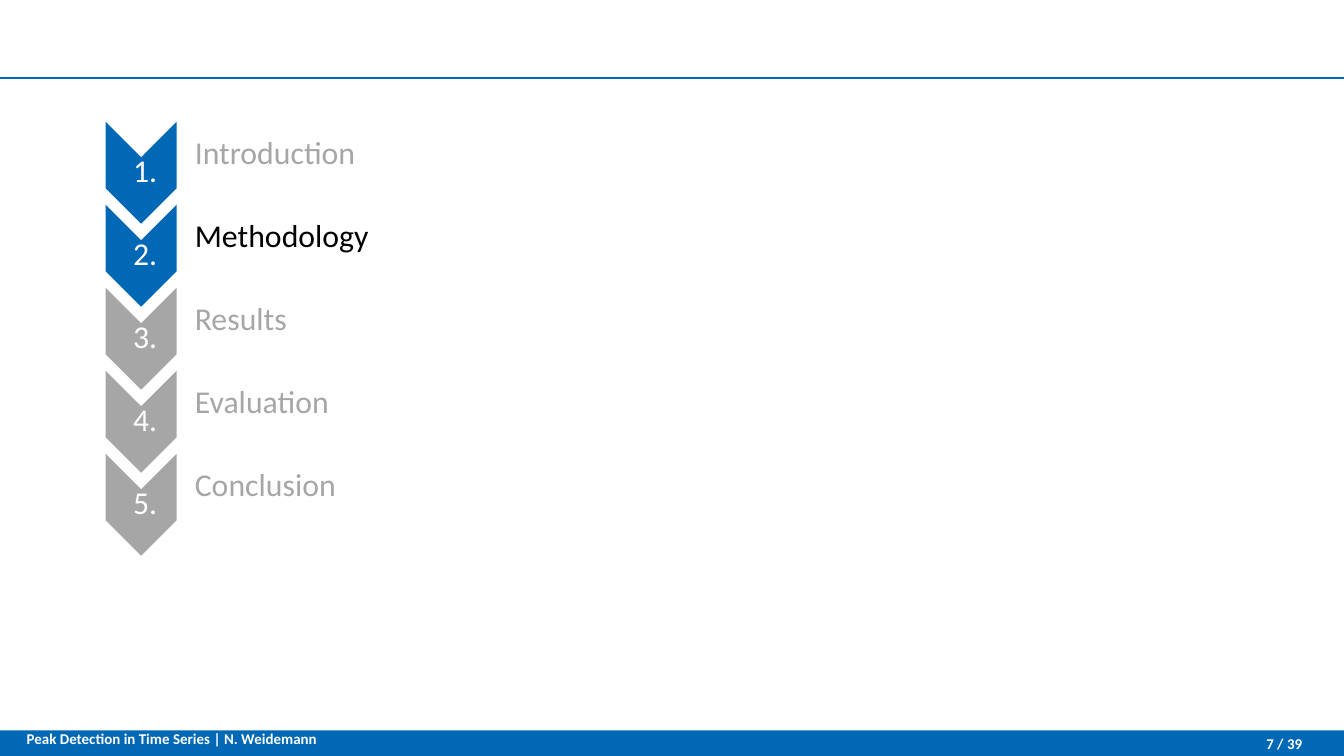
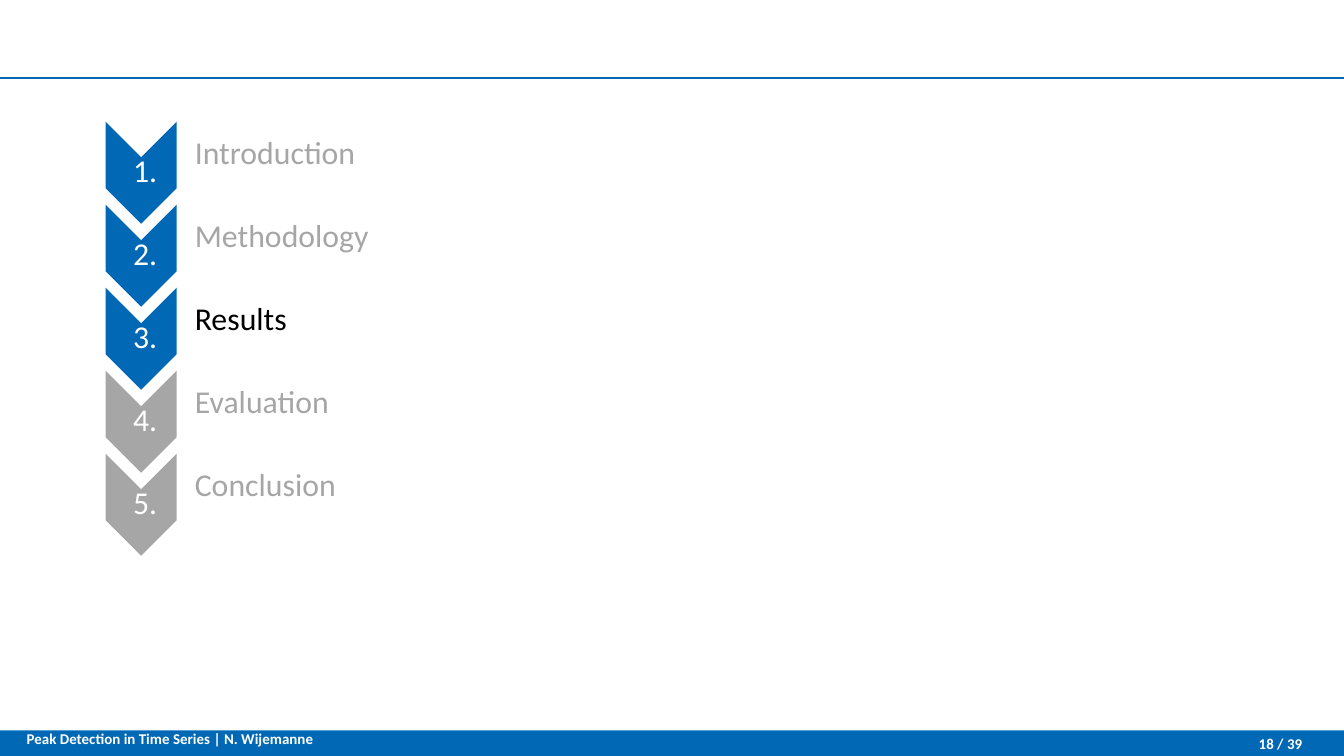
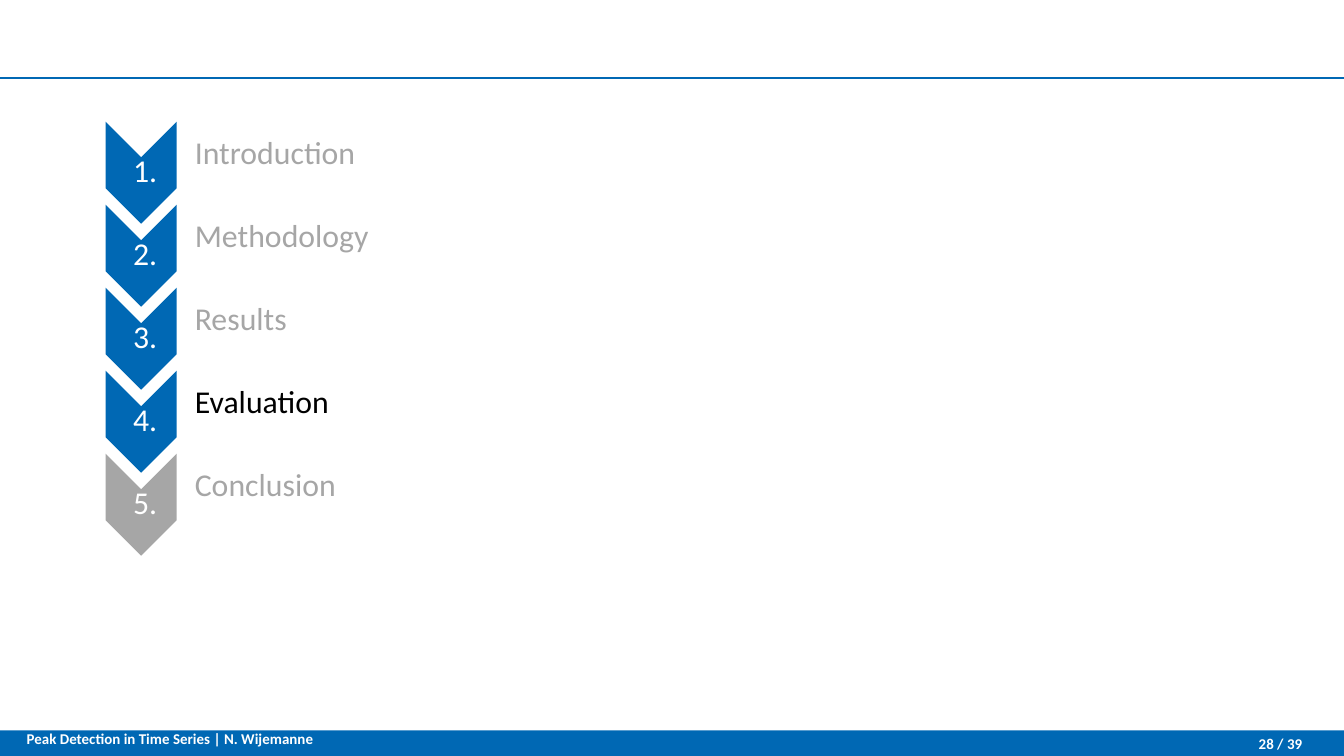
"""Build three agenda slides that mark progress through a talk on peak detection."""
from lxml.etree import SubElement
from pptx import Presentation
from pptx.dml.color import RGBColor
from pptx.enum.shapes import MSO_CONNECTOR, MSO_SHAPE
from pptx.enum.text import MSO_ANCHOR, PP_ALIGN
from pptx.oxml.ns import qn
from pptx.util import Inches, Pt

TALK = "Peak Detection in Time Series"
PAGES = 39
SECTIONS = ["Introduction", "Methodology", "Results", "Evaluation", "Conclusion"]
AGENDAS = [
    {"current": "Methodology", "page": 7, "speaker": "N. Weidemann"},
    {"current": "Results", "page": 18, "speaker": "N. Wijemanne"},
    {"current": "Evaluation", "page": 28, "speaker": "N. Wijemanne"},
]

COLORS = {"blue": "0068B4", "gray": "A6A6A6", "black": "000000", "white": "FFFFFF"}
FONT = "Calibri"
SLIDE_W = 10
SLIDE_H = SLIDE_W * 9 / 16
BAND_H = 0.19
BAND_TOP = SLIDE_H - BAND_H
RULE_Y = 0.58
STEP_TOP = 0.93
STEP_PITCH = 2.47 / (len(SECTIONS) - 1)


def rgb(name):
    return RGBColor.from_string(COLORS[name])


def add_filled(s, preset, box, color):
    sp = s.shapes.add_shape(preset, *map(Inches, box))
    sp.shadow.inherit = False
    sp.fill.solid()
    sp.fill.fore_color.rgb = rgb(color)
    sp.line.fill.background()
    return sp


def add_text(s, text, box, insets, size, color, bold=False, align=PP_ALIGN.LEFT,
             anchor=MSO_ANCHOR.MIDDLE, spacing=None):
    tf = s.shapes.add_textbox(*map(Inches, box)).text_frame
    tf.word_wrap = True
    tf.vertical_anchor = anchor
    tf.margin_left, tf.margin_top, tf.margin_right, tf.margin_bottom = map(Inches, insets)
    p = tf.paragraphs[0]
    p.text = text
    p.alignment = align
    p.line_spacing = spacing
    p.font.name = FONT
    p.font.size = Pt(size)
    p.font.bold = bold
    p.font.color.rgb = rgb(color)


def add_frame(s, page, speaker):
    add_filled(s, MSO_SHAPE.RECTANGLE, (0, BAND_TOP, SLIDE_W, BAND_H), "blue")
    rule = s.shapes.add_connector(MSO_CONNECTOR.STRAIGHT, Inches(SLIDE_W), Inches(RULE_Y),
                                  0, Inches(RULE_Y))
    rule.line.color.rgb = rgb("blue")
    rule.line.width = Pt(1.5)
    SubElement(rule._element.spPr, qn("a:effectLst"))
    add_text(s, f"{TALK} | {speaker}", (0.1, 5.36, 4.34, 0.34), (0.1, 0.1, 0.1, 0.1),
             8, "white", bold=True, anchor=MSO_ANCHOR.TOP)
    add_text(s, f"{page} / {PAGES}", (8.75, BAND_TOP, 0.94, BAND_H), (0.1, 0.05, 0, 0.05),
             8, "white", bold=True, align=PP_ALIGN.RIGHT)


def add_agenda(s, current):
    current_index = SECTIONS.index(current)
    for i, section in enumerate(SECTIONS):
        top = STEP_TOP + i * STEP_PITCH
        chevron = add_filled(s, MSO_SHAPE.CHEVRON, (0.67, top + 0.09, 0.76, 0.53),
                             "blue" if i <= current_index else "gray")
        chevron.rotation = 90
        add_text(s, f"{i + 1}.", (0.79, top + 0.24, 0.53, 0.23), (0.06, 0.01, 0.01, 0.01),
                 17, "white", align=PP_ALIGN.CENTER, spacing=0.9)
        add_text(s, section, (1.32, top, 7.87, 0.44), (0.13, 0.01, 0.01, 0.01),
                 17, "black" if i == current_index else "gray", spacing=0.9)


def main():
    prs = Presentation()
    prs.slide_width, prs.slide_height = Inches(SLIDE_W), Inches(SLIDE_H)
    for agenda in AGENDAS:
        s = prs.slides.add_slide(prs.slide_layouts[6])
        add_frame(s, agenda["page"], agenda["speaker"])
        add_agenda(s, agenda["current"])
    prs.save("out.pptx")


if __name__ == "__main__":
    main()
